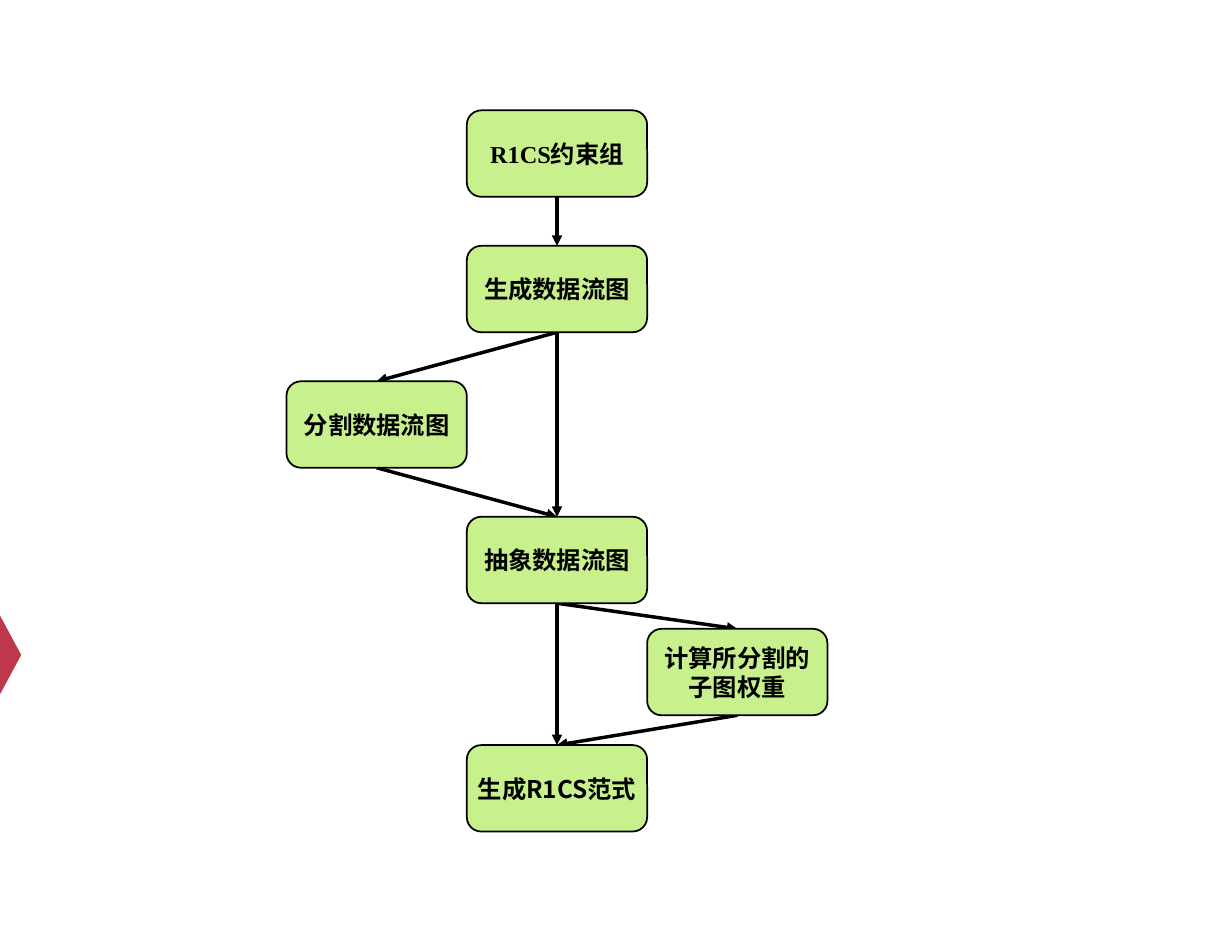
from lxml import etree
from pptx import Presentation
from pptx.dml.color import RGBColor
from pptx.enum.shapes import MSO_CONNECTOR, MSO_SHAPE
from pptx.enum.text import MSO_ANCHOR, PP_ALIGN
from pptx.oxml.ns import qn
from pptx.util import Cm, Pt

STRAIGHT = MSO_CONNECTOR.STRAIGHT
ROUNDED, TRIANGLE = MSO_SHAPE.ROUNDED_RECTANGLE, MSO_SHAPE.ISOSCELES_TRIANGLE
MIDDLE, CENTER = MSO_ANCHOR.MIDDLE, PP_ALIGN.CENTER
TOP_SITE, BOTTOM_SITE = 0, 2

GREEN = RGBColor(0xC8, 0xF0, 0x8C)
RED = RGBColor(0xBE, 0x38, 0x4B)
BLACK = RGBColor(0, 0, 0)
CJK, SERIF = "Noto Sans CJK SC", "Times New Roman"
STEP_FONT = {"size": Pt(28), "bold": True}

# Lengths in cm; columns run from -1 (left) to 1 (right)
STEP_W, STEP_H = 7.32, 3.51
MAIN_X, FIRST_Y, PITCH = 18.95, 4.48, 5.5
WEIGHT_Y, NORMAL_FORM_Y = 25.53, 30.25

# key: (column, top, text runs)
STEPS = {
    "constraints": (0, FIRST_Y, [("R1CS", SERIF), ("约束组", CJK)]),
    "generate": (0, FIRST_Y + PITCH, [("生成数据流图", CJK)]),
    "split": (-1, FIRST_Y + 2 * PITCH, [("分割数据流图", CJK)]),
    "abstract": (0, FIRST_Y + 3 * PITCH, [("抽象数据流图", CJK)]),
    "weights": (1, WEIGHT_Y, [("计算所分割的子图权重", CJK)]),
    "normal_form": (0, NORMAL_FORM_Y, [("生成R1CS范式", CJK)]),
}
FLOWS = [
    ("weights", "normal_form"),
    ("abstract", "weights"),
    ("split", "abstract"),
    ("generate", "split"),
    ("generate", "abstract"),
    ("constraints", "generate"),
    ("abstract", "normal_form"),
]


def add_step(shapes, column, top, runs):
    step = shapes.add_shape(ROUNDED, Cm(MAIN_X + column * STEP_W), Cm(top),
                            Cm(STEP_W), Cm(STEP_H))
    step.shadow.inherit = False
    step.fill.solid()
    step.fill.fore_color.rgb = GREEN
    step.line.color.rgb = BLACK
    step.line.width = Pt(2)
    label = step.text_frame
    label.word_wrap = True
    label.vertical_anchor = MIDDLE
    label.paragraphs[0].alignment = CENTER
    for text, typeface in runs:
        run = label.paragraphs[0].add_run()
        run.text = text
        for name, value in STEP_FONT.items():
            setattr(run.font, name, value)
        run.font.color.rgb = BLACK
        run.font.name = typeface
        etree.SubElement(run.font._element, qn("a:ea"), typeface=typeface)
    return step


def add_flow(shapes, source, target):
    """Join two steps with an arrow from bottom to top."""
    flow = shapes.add_connector(STRAIGHT, 0, 0, 0, 0)
    flow.begin_connect(source, BOTTOM_SITE)
    flow.end_connect(target, TOP_SITE)
    flow.line.color.rgb = BLACK
    flow.line.width = Pt(4)
    etree.SubElement(flow.line._get_or_add_ln(), qn("a:tailEnd"), type="triangle")
    etree.SubElement(flow.element.spPr, qn("a:effectLst"))
    return flow


def main():
    prs = Presentation()
    prs.slide_width, prs.slide_height = Cm(50.01), Cm(38)
    shapes = prs.slides.add_slide(prs.slide_layouts[6]).shapes

    marker = shapes.add_shape(TRIANGLE, Cm(-1.17), Cm(26.16), Cm(3.2), Cm(0.86))
    marker.rotation = 90
    marker.shadow.inherit = False
    marker.fill.solid()
    marker.fill.fore_color.rgb = RED
    marker.line.fill.background()

    steps = {key: add_step(shapes, *step) for key, step in STEPS.items()}
    for source, target in FLOWS:
        flow = add_flow(shapes, steps[source], steps[target])
        # Arrows lie behind the steps
        steps["constraints"].element.addprevious(flow.element)

    prs.save("out.pptx")


if __name__ == "__main__":
    main()
